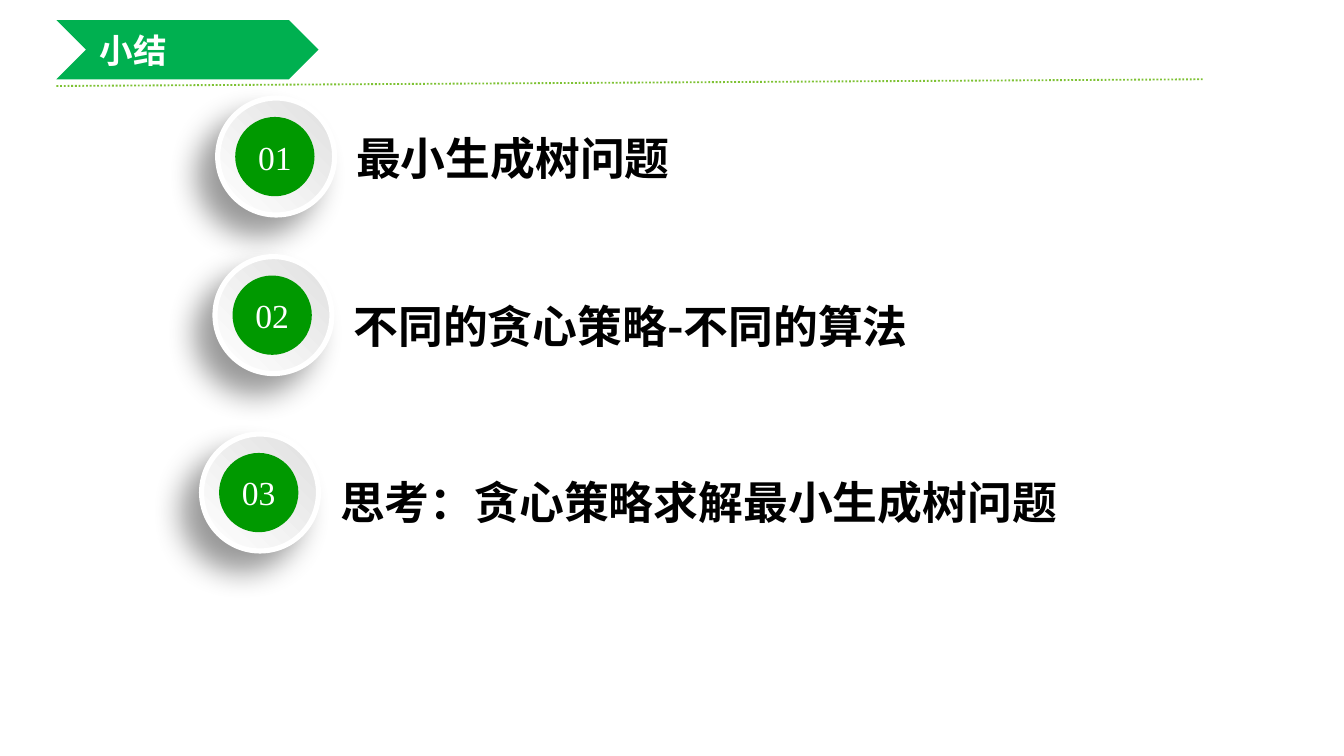
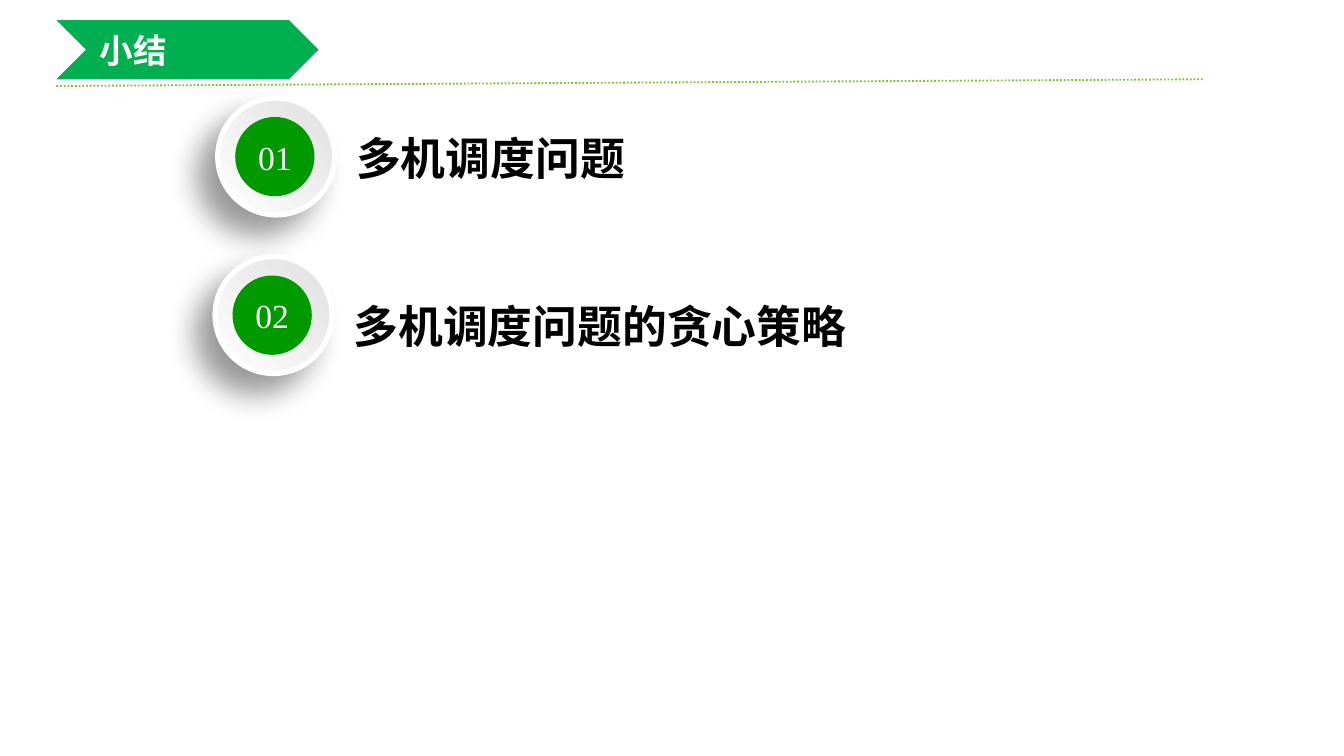
from dataclasses import dataclass

from lxml import etree
from pptx import Presentation
from pptx.dml.color import RGBColor
from pptx.enum import dml, shapes, text
from pptx.oxml import parse_xml
from pptx.oxml.ns import nsdecls, qn
from pptx.util import Inches, Pt


@dataclass(frozen=True)
class Theme:
    banner: str = "00B050"
    rule: str = "7EC234"
    disc: str = "009900"
    ring_dark: str = "E0E0E0"
    ring_edge: str = "D9D9D9"
    light: str = "FFFFFF"
    ink: str = "000000"
    cjk_font: str = "Noto Sans CJK SC"
    number_font: str = "Times New Roman"
    label_size: int = 18
    item_size: int = 24


THEME = Theme()
RING, DISC = 0.87, 0.59

# Each item: badge left, badge top, text drop below badge top, text width
ITEM_BOXES = [(1.62, 0.73, 0.16, 5.3), (1.6, 1.91, 0.23, 5.11), (1.5, 3.23, 0.22, 6.55)]
SUMMARIES = [
    ["最小生成树问题", "不同的贪心策略-不同的算法", "思考：贪心策略求解最小生成树问题"],
    ["多机调度问题", "多机调度问题的贪心策略"],
]


def rgb(value):
    return RGBColor.from_string(value)


def write(sp, words, size, color, font, bold=False, align=text.PP_ALIGN.LEFT,
          anchor=text.MSO_ANCHOR.MIDDLE, margins=(0, 0)):
    """Set one formatted line; margins are (sides, top and bottom)."""
    tf = sp.text_frame
    tf.text = words
    tf.word_wrap = True
    tf.auto_size = text.MSO_AUTO_SIZE.NONE
    tf.vertical_anchor = anchor
    tf.margin_left = tf.margin_right = Inches(margins[0])
    tf.margin_top = tf.margin_bottom = Inches(margins[1])
    p = tf.paragraphs[0]
    p.alignment = align
    r = p.runs[0]
    r.font.size, r.font.bold, r.font.name = Pt(size), bold, font
    r.font.color.rgb = rgb(color)
    etree.SubElement(r.font._element, qn("a:ea")).set("typeface", font)
    return p


def add_plain_shape(parent, kind, left, top, width, height, color):
    sp = parent.add_shape(kind, Inches(left), Inches(top), Inches(width), Inches(height))
    sp.shadow.inherit = False
    sp.fill.solid()
    sp.fill.fore_color.rgb = rgb(color)
    sp.line.fill.background()
    return sp


def add_header(slide, words, left, top, width, height):
    """Dotted rule and chevron banner with the slide title."""
    rule = slide.shapes.add_connector(
        shapes.MSO_CONNECTOR.STRAIGHT, Inches(left), Inches(top + height + 0.05),
        Inches(left + 8.54), Inches(top + height))
    rule.line.color.rgb = rgb(THEME.rule)
    rule.line.width = Pt(1)
    rule.line.dash_style = dml.MSO_LINE.ROUND_DOT
    etree.SubElement(rule._element.spPr, qn("a:effectLst"))

    banner = add_plain_shape(slide.shapes, shapes.MSO_SHAPE.CHEVRON,
                             left, top, width, height, THEME.banner)
    notch = height / 2
    title = slide.shapes.title
    title.left, title.top = Inches(left + notch), Inches(top)
    title.width, title.height = Inches(width - 2 * notch), Inches(height)
    write(title, words, THEME.label_size, THEME.light, THEME.cjk_font,
          bold=True, margins=(0.1, 0.05))
    banner._element.addnext(title._element)


def style_ring(ring):
    """Diagonal grey sheen, pale gradient edge and soft shadow."""
    ring.fill.gradient()
    ring.fill.gradient_angle = 225
    for stop, color in zip(ring.fill.gradient_stops, (THEME.ring_dark, THEME.light)):
        stop.color.rgb = rgb(color)
    ring.line.width = Pt(2.75)
    stops = "".join(
        f'<a:gs pos="{pos}"><a:srgbClr val="{color}"/></a:gs>'
        for pos, color in ((0, THEME.ring_edge), (50000, THEME.light), (100000, THEME.light)))
    ln = ring.line._get_or_add_ln()
    for child in list(ln):
        ln.remove(child)
    ln.append(parse_xml(f'<a:gradFill {nsdecls("a")}><a:gsLst>{stops}</a:gsLst>'
                        '<a:lin ang="18900000" scaled="0"/></a:gradFill>'))
    effects = ring._element.spPr.find(qn("a:effectLst"))
    effects.append(parse_xml(
        f'<a:outerShdw {nsdecls("a")} blurRad="{Pt(16)}" dist="{Pt(14)}" dir="8100000" '
        f'algn="tr" rotWithShape="0"><a:srgbClr val="{THEME.ink}">'
        '<a:alpha val="40000"/></a:srgbClr></a:outerShdw>'))


def add_badge(slide, number, left, top):
    group = slide.shapes.add_group_shape().shapes
    oval = shapes.MSO_SHAPE.OVAL
    style_ring(add_plain_shape(group, oval, left, top, RING, RING, THEME.light))
    disc = add_plain_shape(group, oval, left + 0.13, top + (RING - DISC) / 2,
                           DISC, DISC, THEME.disc)
    write(disc, f"{number:02d}", THEME.label_size, THEME.light, THEME.number_font,
          align=text.PP_ALIGN.CENTER)


def add_item(slide, number, words, left, top, drop, width):
    add_badge(slide, number, left, top)
    box = slide.shapes.add_textbox(Inches(left + 0.9), Inches(top + drop),
                                   Inches(width), Inches(DISC))
    p = write(box, words, THEME.item_size, THEME.ink, THEME.cjk_font, bold=True,
              anchor=text.MSO_ANCHOR.TOP, margins=(0.13, 0))
    p.line_spacing = 1.2


def add_summary_slide(prs, items):
    slide = prs.slides.add_slide(prs.slide_layouts[5])
    slide.background.fill.solid()
    slide.background.fill.fore_color.rgb = rgb(THEME.light)
    add_header(slide, "小结", 0.42, 0.15, 1.95, 0.44)
    for number, (words, box) in enumerate(zip(items, ITEM_BOXES), start=1):
        add_item(slide, number, words, *box)


def main():
    prs = Presentation()
    prs.slide_width = Inches(10)
    prs.slide_height = Inches(10 * 9 / 16)
    for items in SUMMARIES:
        add_summary_slide(prs, items)
    prs.save("out.pptx")


if __name__ == "__main__":
    main()
